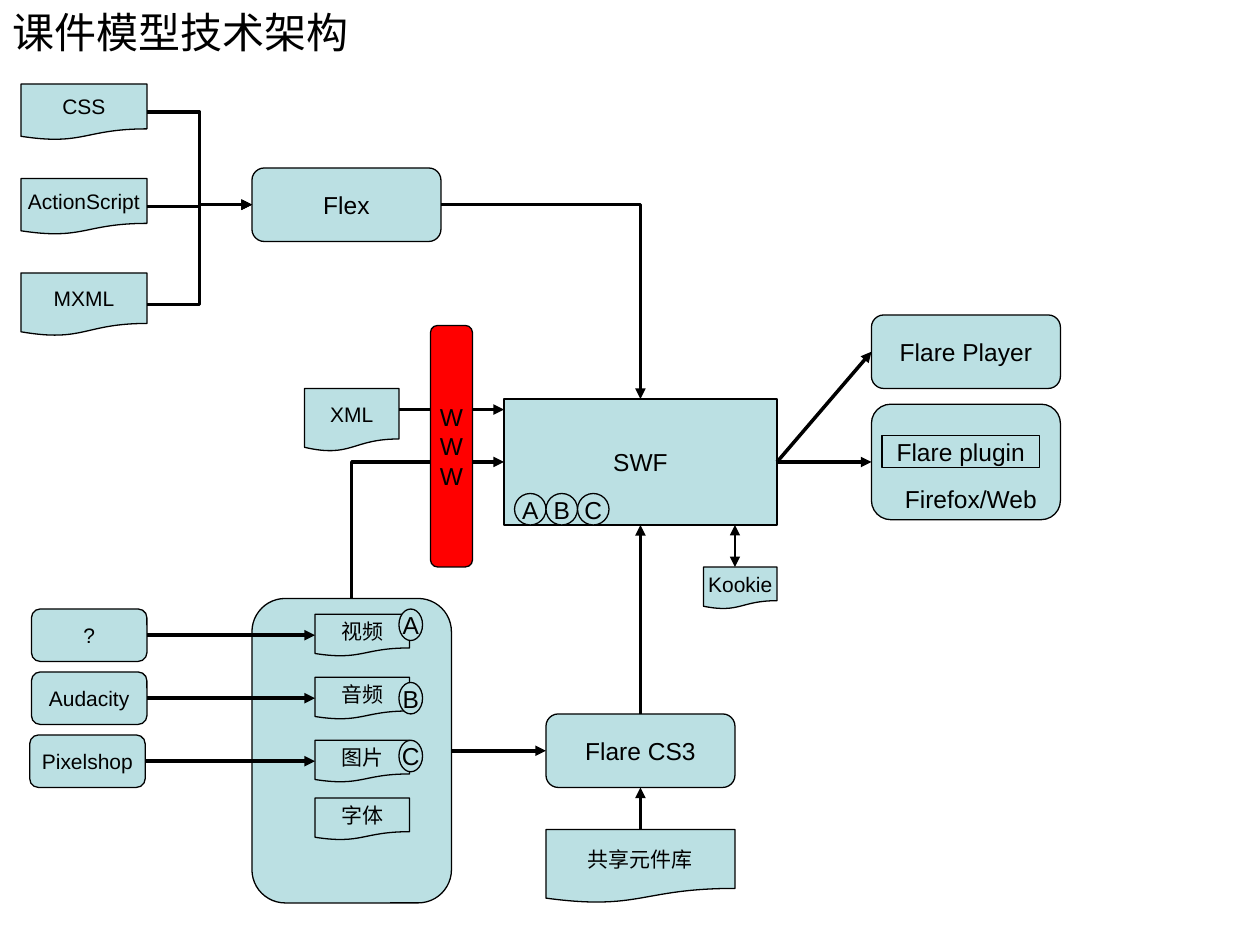
from lxml import etree
from pptx import Presentation
from pptx import util as u
from pptx.dml.color import RGBColor
from pptx.enum import shapes, text
from pptx.oxml import ns

COLOURS = {"ink": "000000", "box": "BBE0E3", "bar": "FF0000"}
FONT = "Arial"
TITLE = "课件模型技术架构"
DOCUMENT = shapes.MSO_SHAPE.FLOWCHART_DOCUMENT
ROUNDED = shapes.MSO_SHAPE.FLOWCHART_ALTERNATE_PROCESS
PROCESS = shapes.MSO_SHAPE.FLOWCHART_PROCESS
OVAL = shapes.MSO_SHAPE.OVAL

SOURCES = [("CSS", 32), ("ActionScript", 32), ("MXML", 36)]
TOOLS = [("?", 18), ("Audacity", 18), ("Pixelshop", 17)]
MEDIA = [("视频", 351), ("音频", 387), ("图片", 423), ("字体", 456)]
MEDIA_MARKS = [("A", 348), ("B", 390), ("C", 423)]

BOXES = [
    (ROUNDED, "", 14, (144, 342, 114, 174)),
    (PROCESS, "SWF", 14, (288, 228, 156, 72)),
    (ROUNDED, "Flare CS3", 14, (312, 408, 108, 42)),
    (ROUNDED, "Flex", 14, (144, 96, 108, 42)),
    (ROUNDED, "Flare Player", 14, (498, 180, 108, 42)),
    (ROUNDED, "", 14, (498, 231, 108, 66)),
    (PROCESS, "Flare plugin", 14, (504, 249, 90, 18)),
    (DOCUMENT, "XML", 12, (174, 222, 54, 36)),
    (DOCUMENT, "Kookie", 12, (402, 324, 42, 24)),
    (DOCUMENT, "共享元件库", 12, (312, 474, 108, 42)),
]
BOXES += [(DOCUMENT, name, 12, (12, 48 + 54 * i, 72, height))
          for i, (name, height) in enumerate(SOURCES)]
BOXES += [(ROUNDED, name, 12, (left, 348 + 36 * i, 66, 30))
          for i, (name, left) in enumerate(TOOLS)]
BOXES += [(DOCUMENT, name, 12, (180, top, 54, 24)) for name, top in MEDIA]
BOXES += [(OVAL, name, 14, (228, top, 13.5, 18)) for name, top in MEDIA_MARKS]
BOXES += [(OVAL, name, 14, (294 + 18 * i, 282, 18, 18))
          for i, name in enumerate("ABC")]
BAR = (ROUNDED, "W\nW\nW", 14, (246, 186, 24, 138))

STRAIGHT = [
    ((366, 408), (366, 300)),
    ((444, 264), (498, 201)),
    ((444, 264), (498, 264)),
    ((258, 429), (312, 429)),
    ((228, 234), (288, 234)),
    ((366, 474), (366, 450)),
]
STRAIGHT += [((left + 66, 363 + 36 * i), (180, 363 + 36 * i))
             for i, (name, left) in enumerate(TOOLS)]
STEPS = [((84, 48 + 54 * i + height / 2), (144, 117))
         for i, (name, height) in enumerate(SOURCES)]


def colour(name):
    return RGBColor.from_string(COLOURS[name])


def style_text(frame, size, align):
    for para in frame.paragraphs:
        para.alignment = align
        for span in para.runs:
            span.font.name = FONT
            span.font.size = u.Pt(size)
            span.font.color.rgb = colour("ink")


def add_box(page, kind, label, size, place, fill="box"):
    box = page.shapes.add_shape(kind, *map(u.Pt, place))
    box.shadow.inherit = False
    box.fill.solid()
    box.fill.fore_color.rgb = colour(fill)
    box.line.color.rgb = colour("ink")
    box.line.width = u.Pt(0.75)
    frame = box.text_frame
    frame.word_wrap = False
    frame.vertical_anchor = text.MSO_ANCHOR.MIDDLE
    if label:
        frame.text = label
        style_text(frame, size, text.PP_ALIGN.CENTER)


def add_arrow(page, start, end, kind=shapes.MSO_CONNECTOR.STRAIGHT,
              ends=("tailEnd",), width=2, corner=False):
    arrow = page.shapes.add_connector(kind, *map(u.Pt, start + end))
    arrow.line.color.rgb = colour("ink")
    arrow.line.width = u.Pt(width)
    properties = arrow._element.spPr
    if corner:
        properties.find(ns.qn("a:prstGeom")).set("prst", "bentConnector2")
    outline = properties.find(ns.qn("a:ln"))
    for name in ends:
        etree.SubElement(outline, ns.qn("a:" + name), type="triangle")
    etree.SubElement(properties, ns.qn("a:effectLst"))


def main():
    deck = Presentation()
    deck.slide_width, deck.slide_height = u.Pt(720), u.Pt(540)
    page = deck.slides.add_slide(deck.slide_layouts[5])

    title = page.shapes.title
    title.left, title.top, title.width, title.height = map(u.Pt, (0, 0, 648, 36))
    title.text_frame.text = TITLE
    title.text_frame.vertical_anchor = text.MSO_ANCHOR.MIDDLE
    style_text(title.text_frame, 24, text.PP_ALIGN.LEFT)

    for kind, label, size, place in BOXES:
        add_box(page, kind, label, size, place)

    browser = page.shapes.add_textbox(*map(u.Pt, (510, 273, 96, 24)))
    browser.text_frame.word_wrap = False
    browser.text_frame.text = "Firefox/Web"
    style_text(browser.text_frame, 14, text.PP_ALIGN.LEFT)

    elbow = shapes.MSO_CONNECTOR.ELBOW
    for start, end in STRAIGHT:
        add_arrow(page, start, end)
    for start, end in STEPS:
        add_arrow(page, start, end, elbow)
    add_arrow(page, (252, 117), (366, 228), elbow, corner=True)
    add_arrow(page, (288, 264), (201, 342), elbow, ("headEnd",), corner=True)
    add_arrow(page, (420, 300), (420, 324), ends=("headEnd", "tailEnd"), width=0.75)

    add_box(page, *BAR, fill="bar")
    deck.save("out.pptx")


if __name__ == "__main__":
    main()
